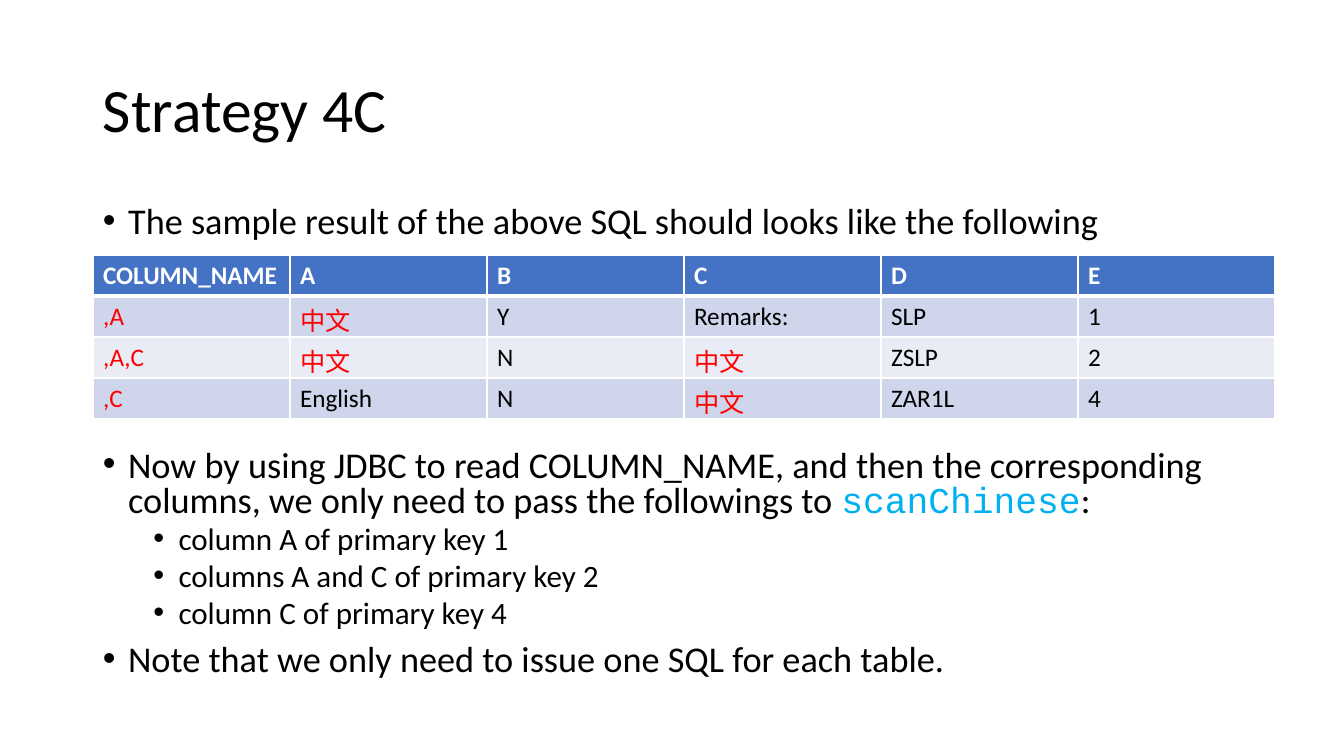
from dataclasses import dataclass
from typing import NamedTuple

from lxml import etree
from pptx import Presentation
from pptx import util as u
from pptx.dml.color import RGBColor
from pptx.enum import text
from pptx.oxml.ns import qn

EMU_PER_PX = 914400 / 100.8


@dataclass(frozen=True)
class Theme:
    font: str = "Calibri"
    code_font: str = "Courier New"
    ink: str = "000000"
    code: str = "00B0F0"
    highlight: str = "FF0000"
    white: str = "FFFFFF"
    header: str = "4472C4"
    bands: tuple[str, str] = ("CFD5EA", "E9EBF5")
    title_size: float = 44
    body_sizes: tuple[float, float] = (25.9, 22.2)
    table_size: float = 18


class Box(NamedTuple):
    left: int
    top: int
    width: int
    height: int


class Bullet(NamedTuple):
    runs: tuple[str, ...]
    level: int = 0
    before: float = 0


THEME = Theme()
SLIDE_SIZE = (1344, 756)
TITLE_BOX = Box(93, 40, 1159, 146)
BODY_BOX = Box(93, 202, 1159, 514)
TABLE_BOX = Box(93, 255, 1182, 164)
CODE_WORD = "scanChinese"
TABLE_GAP = 149  # points left free for the table between two bullets

BULLETS = [
    Bullet(("The sample result of the above SQL should looks like the following",)),
    Bullet(("Now by using JDBC to read COLUMN_NAME, and then the corresponding "
            "columns, we only need to pass the followings to ", CODE_WORD, ":"),
           before=TABLE_GAP),
    Bullet(("column A of primary key 1",), 1, 5),
    Bullet(("columns A and C of primary key 2",), 1, 5),
    Bullet(("column C of primary key 4",), 1, 5),
    Bullet(("Note that we only need to issue one SQL for each table.",), before=10),
]

ROWS = [
    ("COLUMN_NAME", "A", "B", "C", "D", "E"),
    (",A", "中文", "Y", "Remarks:", "SLP", "1"),
    (",A,C", "中文", "N", "中文", "ZSLP", "2"),
    (",C", "English", "N", "中文", "ZAR1L", "4"),
]


def px(n: int) -> u.Emu:
    return u.Emu(round(n * EMU_PER_PX))


def add_run(p, content: str, size: float, color: str,
            font: str = THEME.font, bold: bool = False) -> None:
    r = p.add_run()
    r.text = content
    r.font.name = font
    r.font.size = u.Pt(size)
    r.font.bold = bold
    r.font.color.rgb = RGBColor.from_string(color)


def add_text_frame(s, box: Box, anchor=text.MSO_ANCHOR.TOP):
    tf = s.shapes.add_textbox(*map(px, box)).text_frame
    tf.word_wrap = True
    tf.vertical_anchor = anchor
    return tf


def set_bullet(p, level: int) -> None:
    """Give the paragraph a hanging round bullet for its level."""
    p.level = level
    pPr = p._p.get_or_add_pPr()
    pPr.set("marL", str(u.Inches(0.25 + 0.5 * level)))
    pPr.set("indent", str(u.Inches(-0.25)))
    etree.SubElement(pPr, qn("a:buFont"), typeface="Arial")
    etree.SubElement(pPr, qn("a:buChar"), char="•")


def add_title(s) -> None:
    p = add_text_frame(s, TITLE_BOX, text.MSO_ANCHOR.MIDDLE).paragraphs[0]
    p.line_spacing = 0.9
    add_run(p, "Strategy 4C", THEME.title_size, THEME.ink)


def add_bullets(s) -> None:
    tf = add_text_frame(s, BODY_BOX)
    for i, bullet in enumerate(BULLETS):
        p = tf.add_paragraph() if i else tf.paragraphs[0]
        set_bullet(p, bullet.level)
        p.line_spacing = 0.8
        p.space_before = u.Pt(bullet.before)
        for content in bullet.runs:
            is_code = content == CODE_WORD
            add_run(p, content, THEME.body_sizes[bullet.level],
                    THEME.code if is_code else THEME.ink,
                    THEME.code_font if is_code else THEME.font)


def set_borders(cell, widths: dict[str, float]) -> None:
    """Draw white borders; the lines must precede the fill in the cell XML."""
    tcPr = cell._tc.get_or_add_tcPr()
    for i, (side, width) in enumerate(widths.items()):
        ln = etree.Element(qn(f"a:ln{side}"), w=str(u.Pt(width)))
        fill = etree.SubElement(ln, qn("a:solidFill"))
        etree.SubElement(fill, qn("a:srgbClr"), val=THEME.white)
        tcPr.insert(i, ln)


def cell_color(row: int, column: int, content: str) -> str:
    if row == 0:
        return THEME.white
    return THEME.highlight if column == 0 or content == "中文" else THEME.ink


def add_result_table(s) -> None:
    table = s.shapes.add_table(len(ROWS), len(ROWS[0]), *map(px, TABLE_BOX)).table
    for i, row in enumerate(ROWS):
        for j, content in enumerate(row):
            cell = table.cell(i, j)
            cell.fill.solid()
            cell.fill.fore_color.rgb = RGBColor.from_string(
                THEME.bands[(i - 1) % 2] if i else THEME.header)
            set_borders(cell, {"L": 1, "R": 1, "T": 3 if i == 1 else 1,
                               "B": 1 if i else 3})
            add_run(cell.text_frame.paragraphs[0], content, THEME.table_size,
                    cell_color(i, j, content), bold=i == 0)


def main() -> None:
    prs = Presentation()
    prs.slide_width, prs.slide_height = map(px, SLIDE_SIZE)
    s = prs.slides.add_slide(prs.slide_layouts[6])
    add_title(s)
    add_bullets(s)
    add_result_table(s)
    prs.save("out.pptx")


if __name__ == "__main__":
    main()
